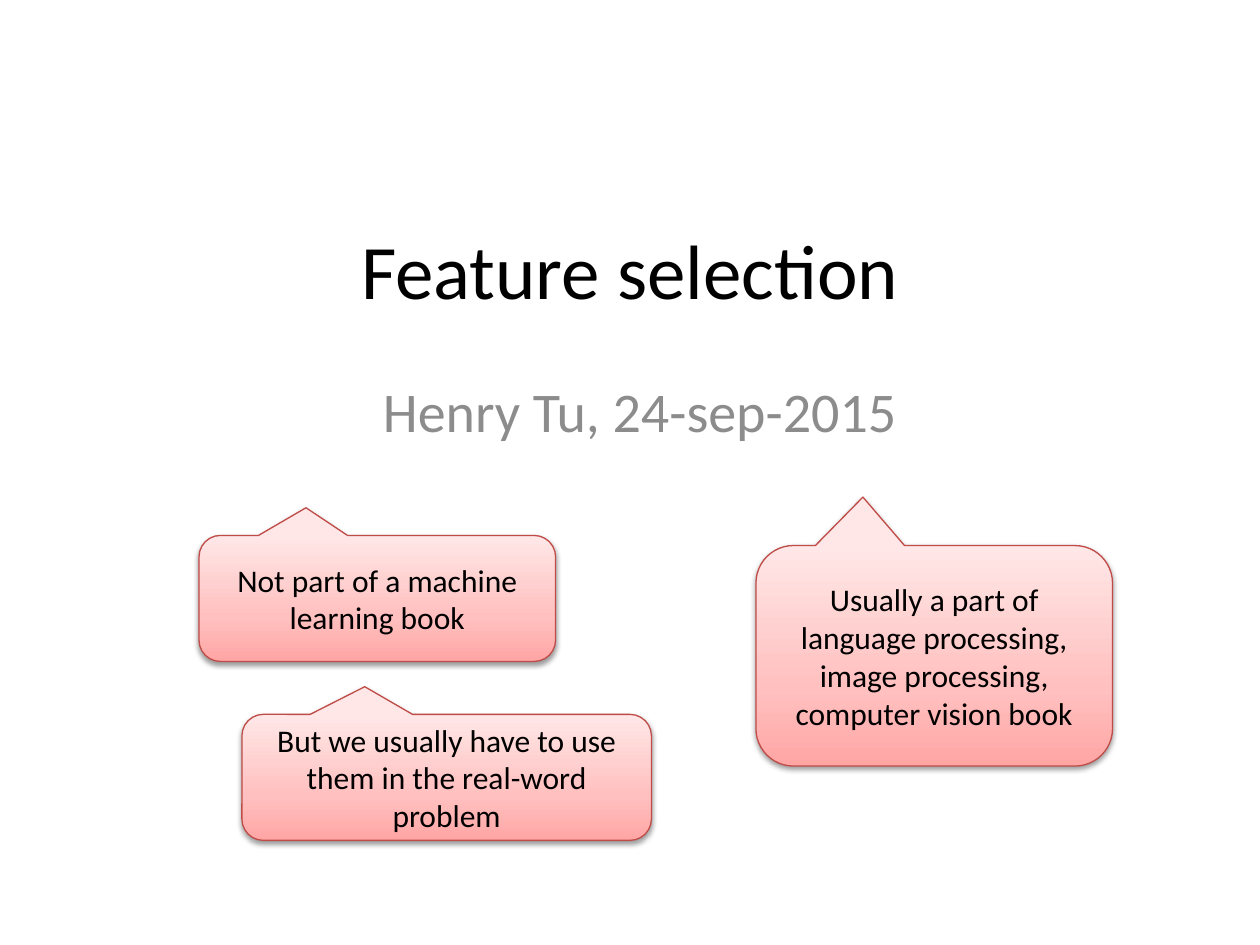
import copy

import lxml.etree
import pptx
import pptx.dml.color
import pptx.enum.shapes
import pptx.enum.text
import pptx.oxml.ns
import pptx.util

Inches = pptx.util.Inches
Pt = pptx.util.Pt
qn = pptx.oxml.ns.qn


def color(hex_text):
    return pptx.dml.color.RGBColor.from_string(hex_text)


class SlideBuilder:
    FONT = "Calibri"
    BLACK = "000000"
    GRAY = "8C8C8C"
    OUTLINE = "BF4C48"
    GRADIENT = [(0, "FFA6A5"), (0.35, "FFC0BF"), (1, "FFE7E7")]
    POINTER = (-0.2, -0.72, 0.17)

    def __init__(self, deck):
        self.page = deck.slides.add_slide(deck.slide_layouts[5])

    def set_text(self, box, text, size, text_color, anchor):
        frame = box.text_frame
        frame.word_wrap = True
        frame.vertical_anchor = anchor
        para = frame.paragraphs[0]
        para.alignment = pptx.enum.text.PP_ALIGN.CENTER
        span = para.add_run()
        span.text = text
        for name, value in {"name": self.FONT, "size": Pt(size)}.items():
            setattr(span.font, name, value)
        span.font.color.rgb = color(text_color)

    def title(self, text, left, top, width, height):
        box = self.page.shapes.title
        place = {"left": left, "top": top, "width": width, "height": height}
        for name, value in place.items():
            setattr(box, name, Inches(value))
        self.set_text(box, text, 44, self.BLACK, pptx.enum.text.MSO_ANCHOR.MIDDLE)

    def subtitle(self, text, *place):
        box = self.page.shapes.add_textbox(*map(Inches, place))
        self.set_text(box, text, 32, self.GRAY, pptx.enum.text.MSO_ANCHOR.TOP)

    def fill_gradient(self, shape):
        """Fill with the three gradient colours, running upwards."""
        fill = shape.fill
        fill.gradient()
        fill.gradient_angle = 90
        stop_list = next(shape.element.iter(qn("a:gsLst")))
        stop_list.insert(1, copy.deepcopy(stop_list[0]))
        for stop, (position, hex_text) in zip(fill.gradient_stops, self.GRADIENT):
            stop.position = position
            stop.color.rgb = color(hex_text)

    def add_shadow(self, shape):
        shape.shadow.inherit = False
        effects = shape.element.spPr.find(qn("a:effectLst"))
        shadow = lxml.etree.SubElement(
            effects, qn("a:outerShdw"), blurRad=str(Pt(3.1)), dist=str(Pt(1.6)),
            dir="5400000", rotWithShape="0")
        tone = lxml.etree.SubElement(shadow, qn("a:srgbClr"), val=self.BLACK)
        lxml.etree.SubElement(tone, qn("a:alpha"), val="38000")

    def callout(self, text, *place):
        shape = self.page.shapes.add_shape(
            pptx.enum.shapes.MSO_SHAPE.ROUNDED_RECTANGULAR_CALLOUT, *map(Inches, place))
        for index, value in enumerate(self.POINTER):
            shape.adjustments[index] = value
        self.fill_gradient(shape)
        shape.line.color.rgb = color(self.OUTLINE)
        shape.line.width = Pt(0.75)
        self.add_shadow(shape)
        self.set_text(shape, text, 18, self.BLACK, pptx.enum.text.MSO_ANCHOR.MIDDLE)


def main():
    deck = pptx.Presentation()
    deck.slide_width = Inches(10)
    deck.slide_height = Inches(7.5)
    builder = SlideBuilder(deck)
    builder.title("Feature selection", 0.75, 1.33, 8.5, 1.61)
    builder.subtitle("Henry Tu, 24-sep-2015", 1.58, 2.94, 7, 1.92)
    callouts = [
        ("Not part of a machine learning book", 1.58, 4.25, 2.83, 1),
        ("Usually a part of language processing, image processing, "
         "computer vision book", 6, 4.33, 2.83, 1.75),
        ("But we usually have to use them in the real-word problem", 1.92, 5.67, 3.25, 1),
    ]
    for callout in callouts:
        builder.callout(*callout)
    deck.save("out.pptx")


if __name__ == "__main__":
    main()
